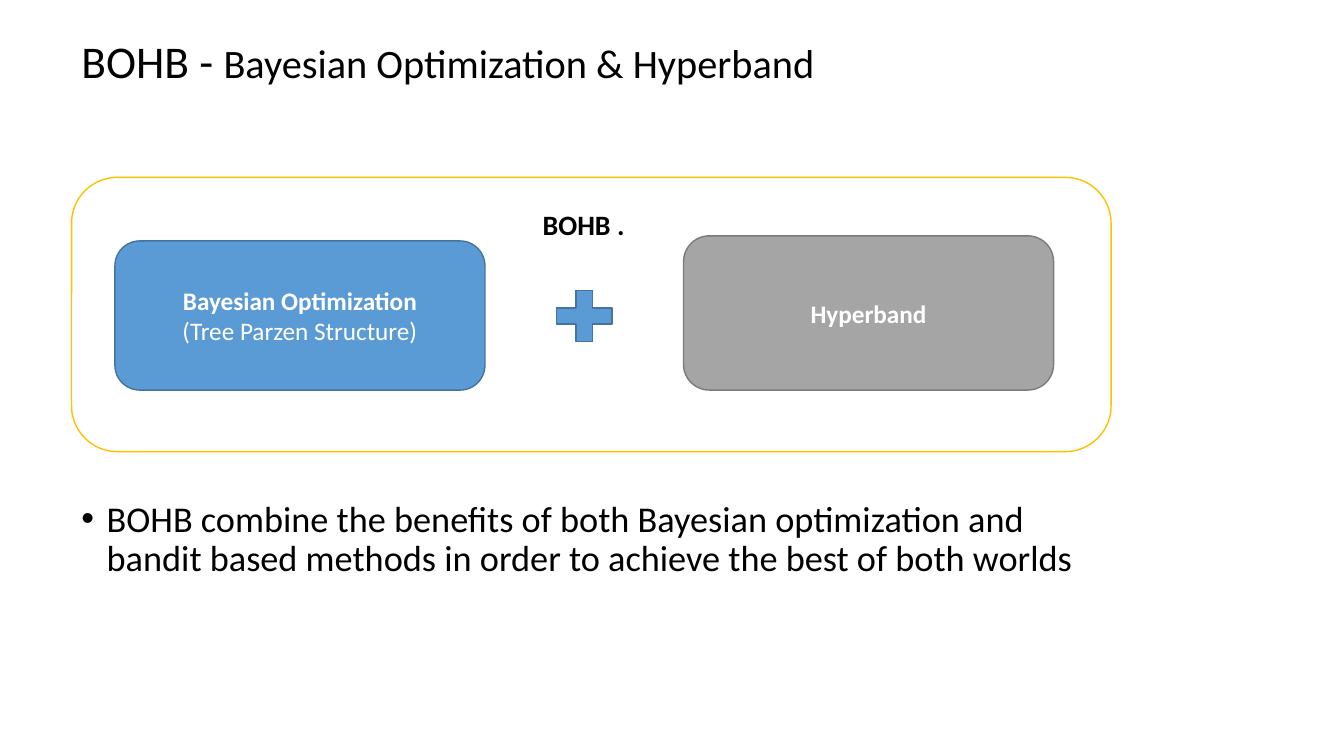
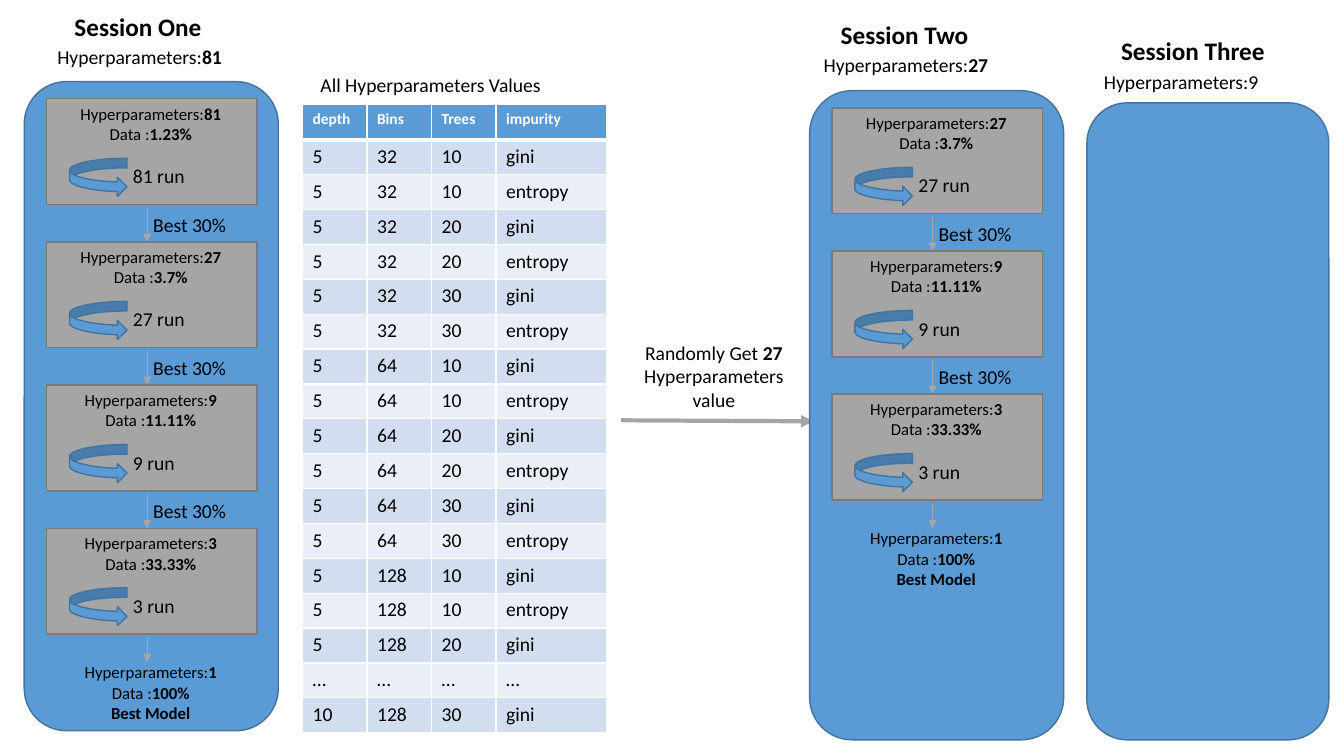
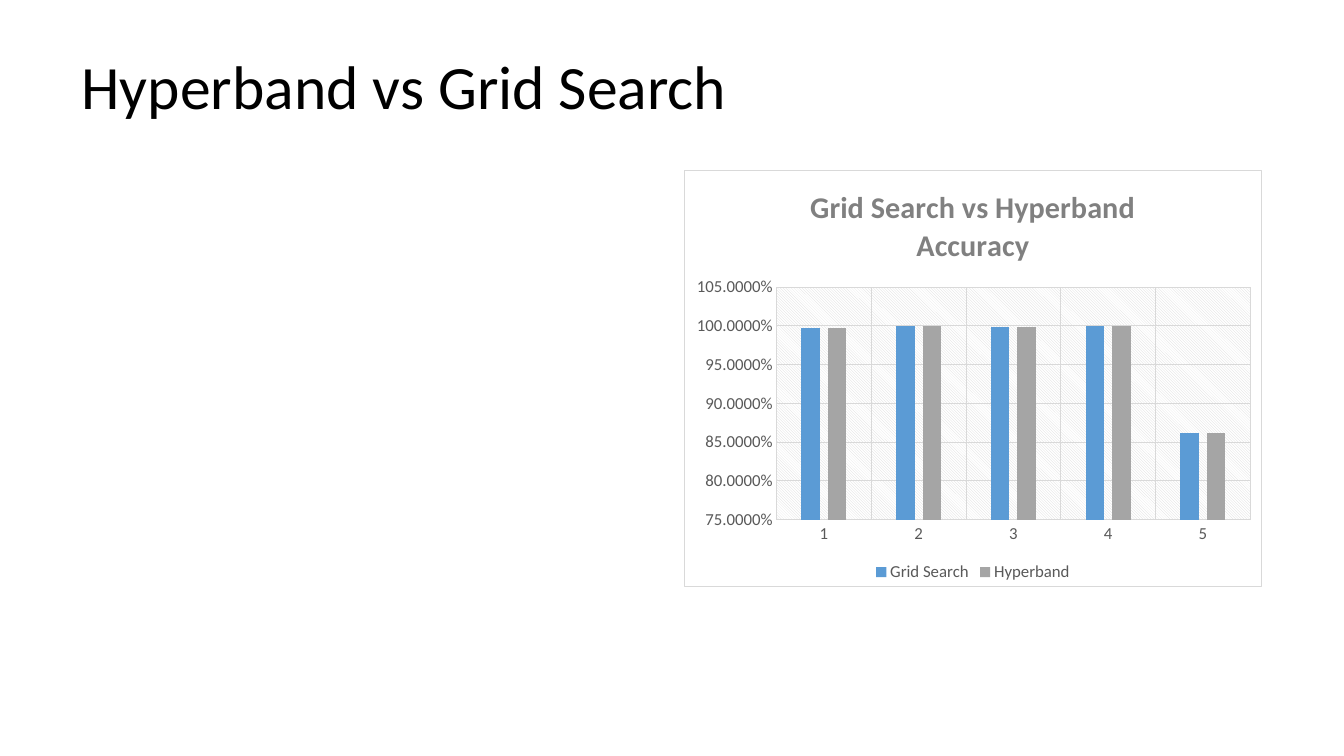
"""Build three slides on BOHB, Hyperband sessions and grid search accuracy."""
from itertools import product

from lxml import etree
from pptx import Presentation
from pptx.chart.data import CategoryChartData
from pptx.dml.color import RGBColor
from pptx.enum.chart import XL_CHART_TYPE, XL_LEGEND_POSITION, XL_TICK_MARK
from pptx.enum.shapes import MSO_CONNECTOR, MSO_SHAPE
from pptx.enum.text import MSO_ANCHOR, PP_ALIGN
from pptx.oxml import parse_xml
from pptx.oxml.ns import nsdecls, qn
from pptx.util import Inches, Pt

FONT = "Calibri"
COLORS = {
    "black": "000000", "white": "FFFFFF", "blue": "5B9BD5", "blue_edge": "43739E",
    "gray": "A5A5A5", "gray_edge": "7A7A7A", "gold": "FFC000", "band_dark": "D2DEEF",
    "band_light": "EAEFF7", "grid": "D9D9D9", "label": "595959", "heading": "808080",
}
SLIDE_SIZE = (13.33, 7.5)

BOHB_TITLE = [("BOHB - ", False, 32.4), ("Bayesian Optimization & Hyperband", False, 28.8)]
BOHB_NAME = "BOHB ."
BOHB_PARTS = [
    ((6.78, 2.34, 3.67, 1.53), "gray", [[("Hyperband", True)]]),
    ((1.14, 2.39, 3.67, 1.48), "blue",
     [[("Bayesian Optimization", True)], [("(Tree Parzen Structure)", False)]]),
]
BOHB_SUMMARY = ("BOHB combine the benefits of both Bayesian optimization and bandit based "
                "methods in order to achieve the best of both worlds")

DATA_SHARES = {81: "1.23%", 27: "3.7%", 9: "11.11%", 3: "33.33%", 1: "100%"}
SESSIONS = [
    {"name": "Session One", "count": 81, "bold": True, "heading": (0.64, 0.06),
     "panel": (0.24, 0.81, 2.52, 6.44), "stages": [81, 27, 9, 3]},
    {"name": "Session Two", "count": 27, "bold": True, "heading": (8.24, 0.14),
     "panel": (8.03, 0.9, 2.52, 6.44), "stages": [27, 9, 3]},
    {"name": "Session Three", "count": 9, "bold": False, "heading": (11.02, 0.3),
     "panel": (10.78, 1.02, 2.4, 6.32), "stages": []},
]
STAGE_PITCH = 1.42
STAGE_SIZE = (2.09, 1.05)
VALUES_TITLE = "All Hyperparameters Values"
VALUES_HEADER = ("depth", "Bins", "Trees", "impurity")
VALUES_GRID = list(product((5,), (32, 64, 128), (10, 20, 30), ("gini", "entropy")))
VALUES_ROWS = VALUES_GRID[:15] + [("…",) * 4, (10, 128, 30, "gini")]
VALUES_WIDTHS = (0.64, 0.64, 0.64, 1.1)
TRANSFER = [[("Randomly Get ", False), ("27", True)],
            [("Hyperparameters", False)], [("value", False)]]

CHART_SLIDE_TITLE = [("Hyperband vs Grid Search", False, 44)]
CHART_TITLE = ("Grid Search vs Hyperband", "Accuracy")
CHART_CATEGORIES = ("1", "2", "3", "4", "5")
ACCURACY = [
    ("Grid Search", "blue", (0.997, 1, 0.998, 1, 0.862)),
    ("Hyperband", "gray", (0.997, 1, 0.998, 1, 0.862)),
]


def rgb(name):
    return RGBColor.from_string(COLORS[name])


def style_font(font, size, color, bold=False):
    font.name, font.size, font.bold = FONT, Pt(size), bold
    font.color.rgb = rgb(color)


def write(frame, paragraphs, size, color="black", align=PP_ALIGN.LEFT, spacing=None):
    frame.word_wrap = True
    for index, pieces in enumerate(paragraphs):
        paragraph = frame.add_paragraph() if index else frame.paragraphs[0]
        paragraph.alignment = align
        if spacing:
            paragraph.line_spacing = spacing
        for text, bold, *own_size in pieces:
            run = paragraph.add_run()
            run.text = text
            style_font(run.font, own_size[0] if own_size else size, color, bold)


def add_text(slide, box, paragraphs, size, **options):
    frame = slide.shapes.add_textbox(*map(Inches, box)).text_frame
    write(frame, paragraphs, size, **options)
    return frame


def add_title(slide, box, pieces):
    frame = add_text(slide, box, [pieces], 44, spacing=0.9)
    frame.vertical_anchor = MSO_ANCHOR.MIDDLE
    return frame


def add_block(slide, kind, box, fill, edge):
    block = slide.shapes.add_shape(kind, *map(Inches, box))
    block.shadow.inherit = False
    block.fill.solid()
    block.fill.fore_color.rgb = rgb(fill)
    block.line.color.rgb = rgb(edge)
    block.line.width = Pt(1)
    return block


def add_arrow(slide, start, end, width):
    arrow = slide.shapes.add_connector(MSO_CONNECTOR.STRAIGHT, *map(Inches, start + end))
    arrow.line.color.rgb = rgb("gray")
    arrow.line.width = Pt(width)
    etree.SubElement(arrow.line._get_or_add_ln(), qn("a:tailEnd"), type="triangle")
    etree.SubElement(arrow._element.spPr, qn("a:effectLst"))


def build_bohb(slide):
    frame = add_title(slide, (0.71, 0.5, 10.86, 0.82), BOHB_TITLE)
    frame.margin_bottom = Inches(0.6)
    frame = add_block(slide, MSO_SHAPE.ROUNDED_RECTANGLE, (0.71, 1.76, 10.31, 2.72),
                      "white", "gold").text_frame
    frame.vertical_anchor = MSO_ANCHOR.TOP
    frame.margin_top, frame.margin_right = Inches(0.17), Inches(0.25)
    write(frame, [[(BOHB_NAME, True)]], 20, align=PP_ALIGN.CENTER)
    for box, color, lines in BOHB_PARTS:
        part = add_block(slide, MSO_SHAPE.ROUNDED_RECTANGLE, box, color, color + "_edge")
        part.text_frame.vertical_anchor = MSO_ANCHOR.MIDDLE
        write(part.text_frame, lines, 18, "white", PP_ALIGN.CENTER)
    add_block(slide, MSO_SHAPE.MATH_PLUS, (5.42, 2.79, 0.75, 0.69), "blue", "blue_edge")
    summary = add_text(slide, (0.71, 4.92, 10.28, 1.06), [[(BOHB_SUMMARY, False)]], 25.9,
                       spacing=0.9).paragraphs[0]
    properties = summary._p.get_or_add_pPr()
    properties.set("marL", str(Inches(0.25)))
    properties.set("indent", str(Inches(-0.25)))
    etree.SubElement(properties, qn("a:buFont"), typeface="Arial")
    etree.SubElement(properties, qn("a:buChar"), char="•")


def stage_lines(count):
    return [[("Hyperparameters:", False), (str(count), True)],
            [("Data :", False), (DATA_SHARES[count], True)]]


def add_session(slide, session):
    left, top = session["panel"][:2]
    title_left, title_top = session["heading"]
    add_text(slide, (title_left, title_top, 1.82, 0.4), [[(session["name"], True)]], 18)
    add_text(slide, (title_left - 0.17, title_top + 0.34, 2.14, 0.34),
             [[("Hyperparameters:", False), (str(session["count"]), session["bold"])]], 14)
    add_block(slide, MSO_SHAPE.ROUNDED_RECTANGLE, session["panel"], "blue", "blue_edge")
    stages = session["stages"]
    width, height = STAGE_SIZE
    for index, count in enumerate(stages):
        y = top + 0.17 + index * STAGE_PITCH
        add_block(slide, MSO_SHAPE.RECTANGLE, (left + 0.22, y, width, height),
                  "gray", "gray_edge")
        add_text(slide, (left + 0.21, y, width, 0.5), stage_lines(count), 12,
                 align=PP_ALIGN.CENTER)
        add_block(slide, MSO_SHAPE.CURVED_RIGHT_ARROW, (left + 0.45, y + 0.59, 0.57, 0.38),
                  "blue", "blue_edge")
        add_text(slide, (left + 0.98, y + 0.6, 0.77, 0.34), [[(f"{count} run", False)]], 14)
        last = index == len(stages) - 1
        x = left + 1.22
        add_arrow(slide, (x, y + 1.08), (x, y + (1.33 if last else STAGE_PITCH)), 0.5)
        if last:
            add_text(slide, (left + 0.21, y + 1.28, width, 0.71),
                     stage_lines(1) + [[("Best Model", True)]], 12, align=PP_ALIGN.CENTER)
        else:
            add_text(slide, (left + 1.18, y + 1.08, 1.01, 0.34), [[("Best 30%", False)]], 14)


def add_border(cell, side, width):
    border = etree.SubElement(cell._tc.get_or_add_tcPr(), qn(f"a:{side}"), w=str(Pt(width)))
    fill = etree.SubElement(border, qn("a:solidFill"))
    etree.SubElement(fill, qn("a:srgbClr"), val=COLORS["white"])


def add_values(slide):
    add_text(slide, (3.08, 0.67, 2.83, 0.34), [[(VALUES_TITLE, False)]], 14)
    rows = [VALUES_HEADER] + VALUES_ROWS
    box = (3, 1.04, sum(VALUES_WIDTHS), 6.23)
    table = slide.shapes.add_table(len(rows), len(VALUES_HEADER), *map(Inches, box)).table
    table.horz_banding = False
    for column, width in zip(table.columns, VALUES_WIDTHS):
        column.width = Inches(width)
    for r, row in enumerate(rows):
        for c, value in enumerate(row):
            cell = table.cell(r, c)
            size, color = (14, "black") if r else (11, "white")
            write(cell.text_frame, [[(str(value), r == 0)]], size, color)
            for side in ("lnL", "lnR", "lnT", "lnB"):
                heavy = (r, side) in ((0, "lnB"), (1, "lnT"))
                add_border(cell, side, 3 if heavy else 1)
            cell.fill.solid()
            band = "band_dark" if r % 2 else "band_light"
            cell.fill.fore_color.rgb = rgb(band if r else "blue")


def build_sessions(slide):
    add_values(slide)
    add_arrow(slide, (6.16, 4.17), (8.07, 4.18), 3)
    add_text(slide, (6.12, 3.33, 1.92, 0.81), TRANSFER, 14, align=PP_ALIGN.CENTER)
    for session in SESSIONS:
        add_session(slide, session)


def paint_chart(chart):
    space = chart._chartSpace
    plot_area = space.chart.plotArea
    for layout in plot_area.findall(qn("c:layout")):
        plot_area.remove(layout)
    shares = {"x": 0.16, "y": 0.28, "w": 0.82, "h": 0.56}
    places = "".join(f'<c:{key}Mode val="edge"/>' for key in "xy")
    places += "".join(f'<c:{key} val="{value}"/>' for key, value in shares.items())
    plot_area.insert(0, parse_xml(
        f'<c:layout {nsdecls("c")}><c:manualLayout><c:layoutTarget val="inner"/>'
        f'{places}</c:manualLayout></c:layout>'))
    white, grid = (f'<a:srgbClr val="{COLORS[name]}"/>' for name in ("white", "grid"))
    plot_area.append(parse_xml(
        f'<c:spPr {nsdecls("c", "a")}><a:pattFill prst="ltDnDiag"><a:fgClr>{grid}</a:fgClr>'
        f'<a:bgClr>{white}</a:bgClr></a:pattFill><a:ln><a:noFill/></a:ln></c:spPr>'))
    space.chart.addnext(parse_xml(
        f'<c:spPr {nsdecls("c", "a")}><a:solidFill>{white}</a:solidFill>'
        f'<a:ln w="{Pt(0.75)}"><a:solidFill>{grid}</a:solidFill></a:ln></c:spPr>'))


def build_chart(slide):
    add_title(slide, (0.71, 0.5, 10.29, 0.77), CHART_SLIDE_TITLE)
    data = CategoryChartData(number_format="0.0000%")
    data.categories = CHART_CATEGORIES
    for name, _, values in ACCURACY:
        data.add_series(name, values)
    chart = slide.shapes.add_chart(XL_CHART_TYPE.COLUMN_CLUSTERED,
                                   *map(Inches, (6.78, 1.69, 5.74, 4.13)), data).chart
    style_font(chart.font, 10, "black")
    write(chart.chart_title.text_frame, [[(line, True)] for line in CHART_TITLE], 21.6,
          "heading", PP_ALIGN.CENTER)
    chart.chart_title.include_in_layout = False
    chart.has_legend = True
    chart.legend.position = XL_LEGEND_POSITION.BOTTOM
    chart.legend.include_in_layout = False
    style_font(chart.legend.font, 12, "label")
    plot = chart.plots[0]
    plot.vary_by_categories = False
    plot.gap_width, plot.overlap = 267, -43
    for series, (_, color, _) in zip(plot.series, ACCURACY):
        series.format.fill.solid()
        series.format.fill.fore_color.rgb = rgb(color)
    for axis in (chart.category_axis, chart.value_axis):
        axis.has_major_gridlines = True
        axis.major_tick_mark = axis.minor_tick_mark = XL_TICK_MARK.NONE
        style_font(axis.tick_labels.font, 12, "label")
        for line in (axis.major_gridlines.format.line, axis.format.line):
            line.color.rgb = rgb("grid")
            line.width = Pt(0.75)
    scale = chart.value_axis
    scale.format.line.fill.background()
    scale.minimum_scale, scale.maximum_scale, scale.major_unit = 0.75, 1.05, 0.05
    scale.tick_labels.number_format = "0.0000%"
    scale.tick_labels.number_format_is_linked = False
    paint_chart(chart)


def main():
    deck = Presentation()
    deck.slide_width, deck.slide_height = map(Inches, SLIDE_SIZE)
    for build in (build_bohb, build_sessions, build_chart):
        build(deck.slides.add_slide(deck.slide_layouts[6]))
    deck.save("out.pptx")


if __name__ == "__main__":
    main()
